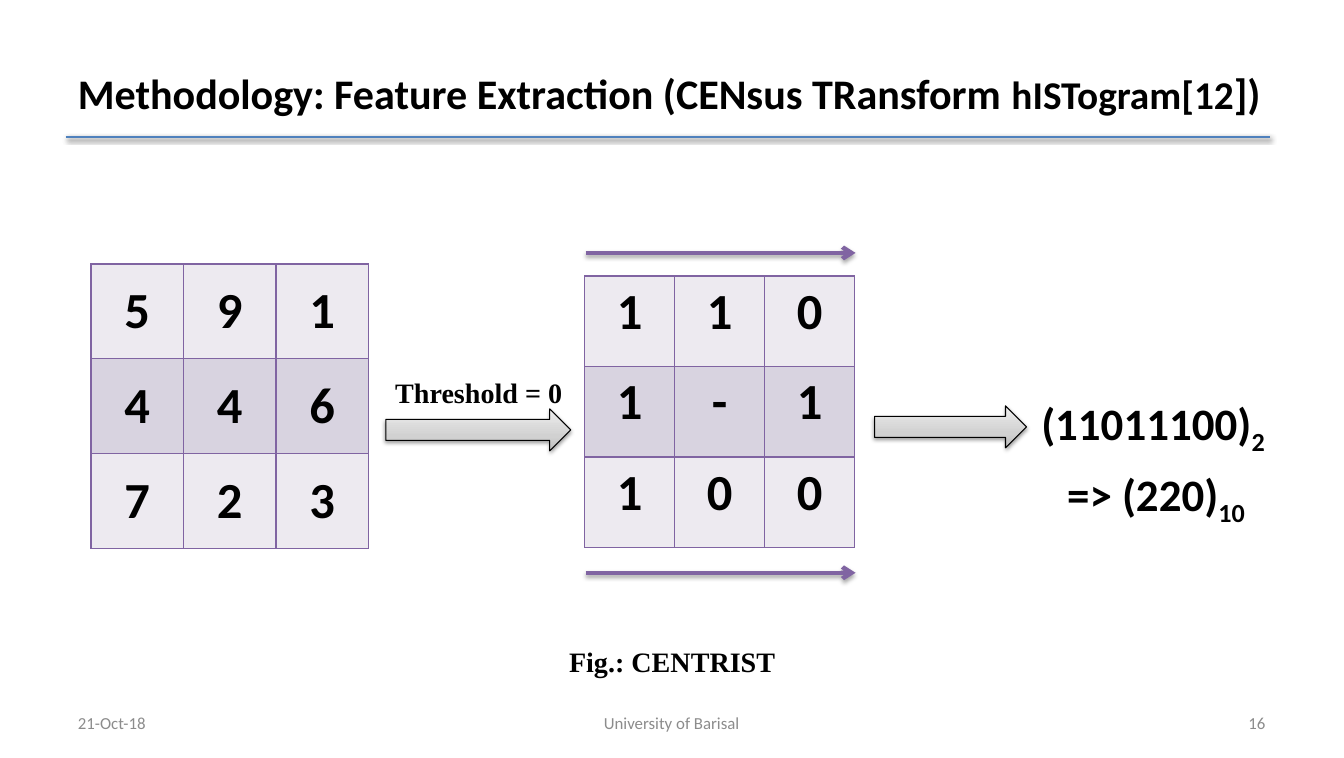
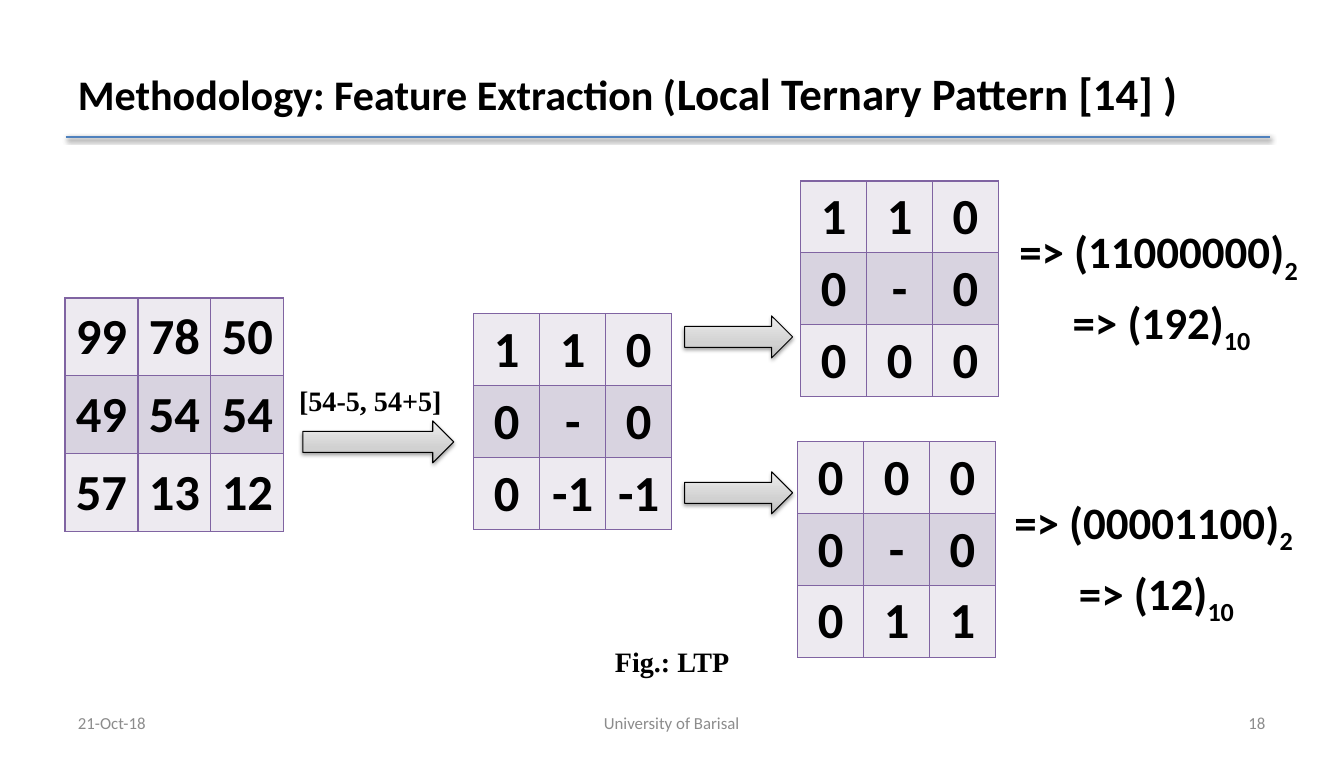
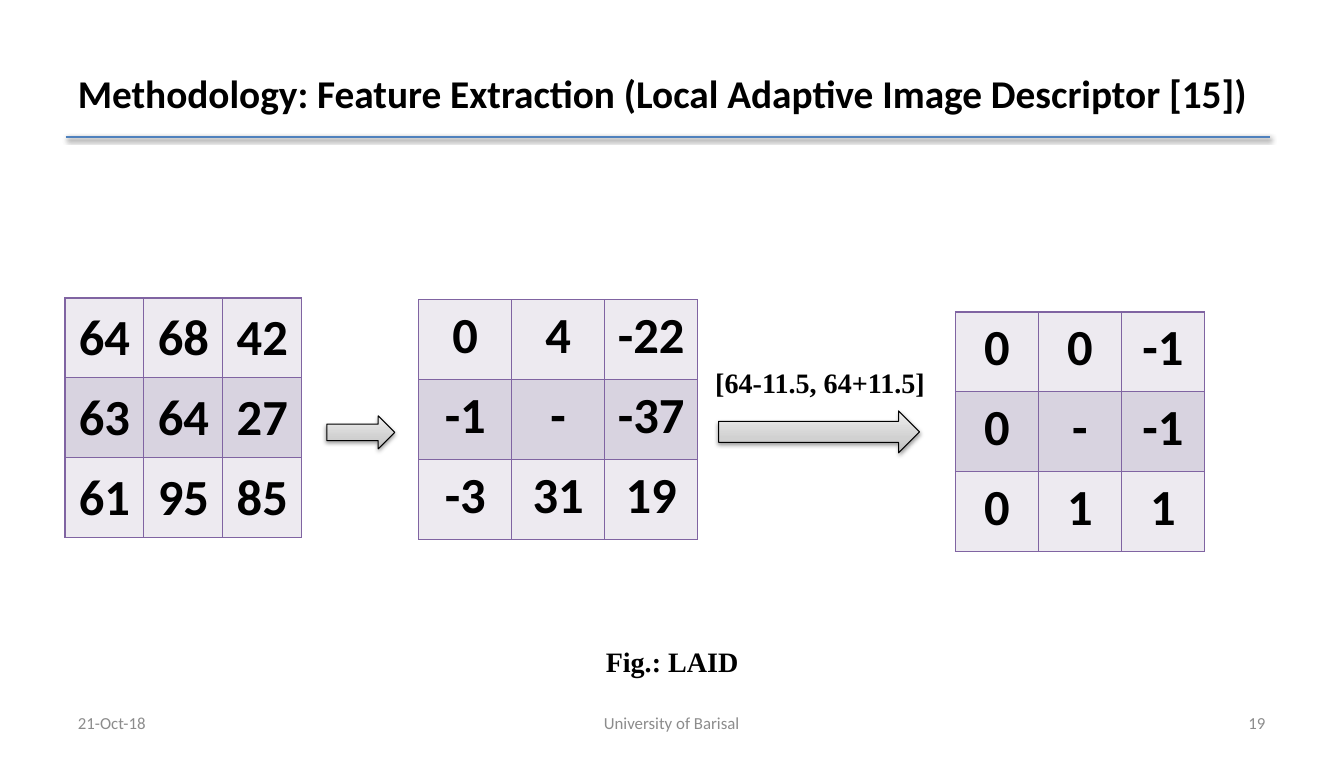
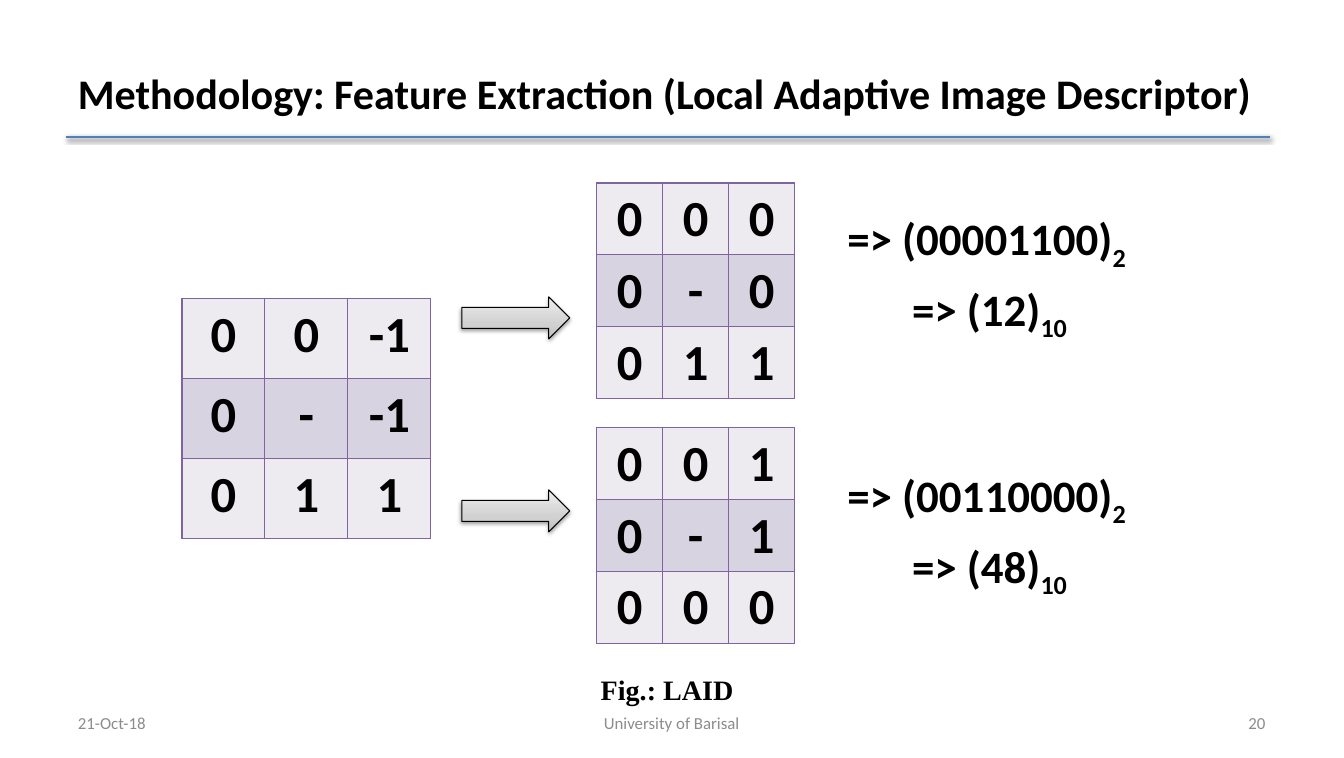
from pptx import Presentation
from pptx import util as u
from pptx.dml.color import RGBColor
from pptx.enum import shapes, text
from pptx.oxml import parse_xml
from pptx.oxml.ns import nsdecls, qn

COLORS = {
    "ink": "000000", "muted": "8C8C8C", "rule": "4F81BD", "purple": "8064A2",
    "light_row": "EDEAF0", "dark_row": "D8D3E0",
    "arrow_low": "BDBDBD", "arrow_mid": "D1D1D1", "arrow_high": "EEEEEE",
}
SANS, SERIF = "Calibri", "Times New Roman"
LEFT, CENTER, RIGHT = text.PP_ALIGN.LEFT, text.PP_ALIGN.CENTER, text.PP_ALIGN.RIGHT
TOP, MIDDLE = text.MSO_ANCHOR.TOP, text.MSO_ANCHOR.MIDDLE
SUB = {"baseline": -25000}


def px(pixels):
    return u.Emu(round(pixels * 914400 / 101.1))


def rgb(name):
    return RGBColor.from_string(COLORS[name])


def xml(tag, attributes="", inner=""):
    return parse_xml(f"<a:{tag} {nsdecls('a')} {attributes}>{inner}</a:{tag}>")


def solid(name):
    return f'<a:solidFill><a:srgbClr val="{COLORS[name]}"/></a:solidFill>'


def write(frame, paragraphs, size=12, font=SANS, color="ink", bold=True, align=LEFT, before=0):
    for index, runs in enumerate(paragraphs):
        paragraph = frame.paragraphs[0] if index == 0 else frame.add_paragraph()
        paragraph.alignment = align
        paragraph.space_before = u.Pt(before)
        for words, change in runs:
            run = paragraph.add_run()
            run.text = words
            run.font.name = font
            run.font.size = u.Pt(change.get("size", size))
            run.font.bold = bold
            run.font.color.rgb = rgb(color)
            if "baseline" in change:
                run.font._element.set("baseline", str(change["baseline"]))


class Deck:
    def __init__(self):
        self.show = Presentation()
        self.show.slide_width, self.show.slide_height = u.Inches(13.3), u.Inches(7.5)

    def page(self, number, *title, size=30):
        self.slide = self.show.slides.add_slide(self.show.slide_layouts[6])
        self.label((68, 30, 1210, 126), [title], size=size, anchor=MIDDLE)
        self.line(66, 137, 1271, "rule", 2)
        for left, width, words, align in (
            (68, 313, "21-Oct-18", LEFT),
            (459, 426, "University of Barisal", CENTER),
            (963, 313, str(number), RIGHT),
        ):
            self.label((left, 703, width, 40), [[(words, {})]], anchor=MIDDLE,
                       color="muted", bold=False, align=align)

    def label(self, box, paragraphs, anchor=TOP, **style):
        frame = self.slide.shapes.add_textbox(*map(px, box)).text_frame
        frame.word_wrap = True
        frame.vertical_anchor = anchor
        write(frame, paragraphs, **style)

    def note(self, left, top, width, words):
        self.label((left, top, width, 42), [[(words, {})]], size=20, font=SERIF,
                   align=CENTER, before=4)

    def caption(self, words, left=306, top=640):
        self.note(left, top, 733, words)

    def equation(self, left, top, bits, width=306, lead="=> "):
        lines = [
            [(f"{lead}({bits})", {}), ("2 ", SUB)],
            [(f"=> ({int(bits, 2)})", {}), ("10", SUB)],
        ]
        self.label((left, top, width, 140), lines, size=32, align=CENTER, before=6.4)

    def shadow(self, item, alpha=38, distance=1.6):
        item._element.spPr.append(xml("effectLst", "", (
            f'<a:outerShdw blurRad="{u.Pt(3.1)}" dist="{u.Pt(distance)}" dir="5400000" '
            f'rotWithShape="0"><a:srgbClr val="{COLORS["ink"]}">'
            f'<a:alpha val="{alpha * 1000}"/></a:srgbClr></a:outerShdw>')))

    def line(self, left, top, right, color, weight):
        line = self.slide.shapes.add_connector(
            shapes.MSO_CONNECTOR.STRAIGHT, px(left), px(top), px(right), px(top))
        line.line.color.rgb = rgb(color)
        line.line.width = u.Pt(weight)
        return line

    def rule(self, *place):
        self.shadow(self.line(*place, "rule", 2))

    def scan(self, left, top, right):
        scan = self.line(left, top, right, "purple", 3)
        scan._element.spPr.find(qn("a:ln")).append(xml("tailEnd", 'type="arrow"'))
        self.shadow(scan, alpha=35, distance=1.8)

    def arrow(self, left, top, width, height=42):
        arrow = self.slide.shapes.add_shape(
            shapes.MSO_SHAPE.RIGHT_ARROW, *map(px, (left, top, width, height)))
        arrow.fill.gradient()
        arrow.fill.gradient_angle = 90
        stops = arrow._element.spPr.find(qn("a:gradFill")).find(qn("a:gsLst"))
        stops.clear()
        for place, name in ((0, "arrow_low"), (35, "arrow_mid"), (100, "arrow_high")):
            stops.append(xml("gs", f'pos="{place * 1000}"',
                             f'<a:srgbClr val="{COLORS[name]}"/>'))
        arrow.line.color.rgb = rgb("ink")
        arrow.line.width = u.Pt(0.75)
        self.shadow(arrow)

    def matrix(self, left, top, values, column=66, row=72, anchor=TOP):
        rows = [line.split() for line in values.split("/")]
        count = len(rows)
        table = self.slide.shapes.add_table(
            count, count, px(left), px(top), px(count * column), px(count * row)).table
        table.first_row = table.horz_banding = False
        for r, numbers in enumerate(rows):
            table.rows[r].height = px(row)
            table.columns[r].width = px(column)
            for c, number in enumerate(numbers):
                cell = table.cell(r, c)
                cell.vertical_anchor = anchor
                cell.fill.solid()
                cell.fill.fore_color.rgb = rgb("dark_row" if r % 2 else "light_row")
                write(cell.text_frame, [[(number, {})]], size=36, align=CENTER)
                for place, side in enumerate(("lnL", "lnR", "lnT", "lnB")):
                    cell._tc.tcPr.insert(place, xml(side, f'w="{u.Pt(1)}"', solid("purple")))


deck = Deck()
TOPIC = "Methodology: Feature Extraction ("
RULE = (66, 137, 1271)

deck.page(16, (TOPIC + "CENsus TRansform ", {}), ("hISTogram[12", {"size": 28}), ("])", {}))
deck.rule(*RULE)
deck.matrix(91, 264, "5 9 1/4 4 6/7 2 3", 92.6, 95, MIDDLE)
deck.matrix(585, 276, "1 1 0/1 - 1/1 0 0", 90, 90.6)
deck.arrow(386, 409, 185)
deck.note(383, 371, 192, "Threshold = 0")
deck.arrow(875, 406, 152)
for height in (253, 573):
    deck.scan(586, height, 856)
deck.equation(1026, 391, "11011100", width=261, lead="")
deck.caption("Fig.: CENTRIST")

deck.page(18, (TOPIC, {}), ("Local Ternary Pattern [14] )", {"size": 32}))
deck.rule(*RULE)
deck.matrix(65, 298, "99 78 50/49 54 54/57 13 12", 73, 78, MIDDLE)
deck.arrow(303, 421, 151)
deck.note(248, 379, 245, "[54-5, 54+5]")
deck.matrix(474, 314, "1 1 0/0 - 0/0 -1 -1")
for top in (316, 472):
    deck.arrow(685, top, 108)
deck.matrix(801, 181, "1 1 0/0 - 0/0 0 0")
deck.matrix(798, 442, "0 0 0/0 - 0/0 1 1")
deck.equation(1009, 219, "11000000")
deck.equation(1004, 490, "00001100")
deck.caption("Fig.: LTP")

deck.page(19, (TOPIC + "Local Adaptive Image Descriptor [15])", {}), size=28)
deck.rule(*RULE)
deck.matrix(65, 298, "64 68 42/63 64 27/61 95 85", 79, 80, MIDDLE)
deck.arrow(327, 416, 68, 33)
deck.matrix(419, 300, "0 4 -22/-1 - -37/-3 31 19", 93, 80)
deck.arrow(719, 411, 201)
deck.note(698, 361, 245, "[64-11.5, 64+11.5]")
deck.matrix(956, 312, "0 0 -1/0 - -1/0 1 1", 83, 80)
deck.caption("Fig.: LAID")

deck.page(20, (TOPIC + "Local Adaptive Image Descriptor)", {}))
deck.rule(*RULE)
deck.matrix(182, 299, "0 0 -1/0 - -1/0 1 1", 83, 80)
for arrow_top, matrix_top, equation_top, values, bits in (
    (297, 183, 206, "0 0 0/0 - 0/0 1 1", "00001100"),
    (490, 428, 463, "0 0 1/0 - 1/0 0 0", "00110000"),
):
    deck.arrow(462, arrow_top, 108)
    deck.matrix(597, matrix_top, values)
    deck.equation(837, equation_top, bits)
deck.caption("Fig.: LAID", 301, 668)

deck.show.save("out.pptx")
